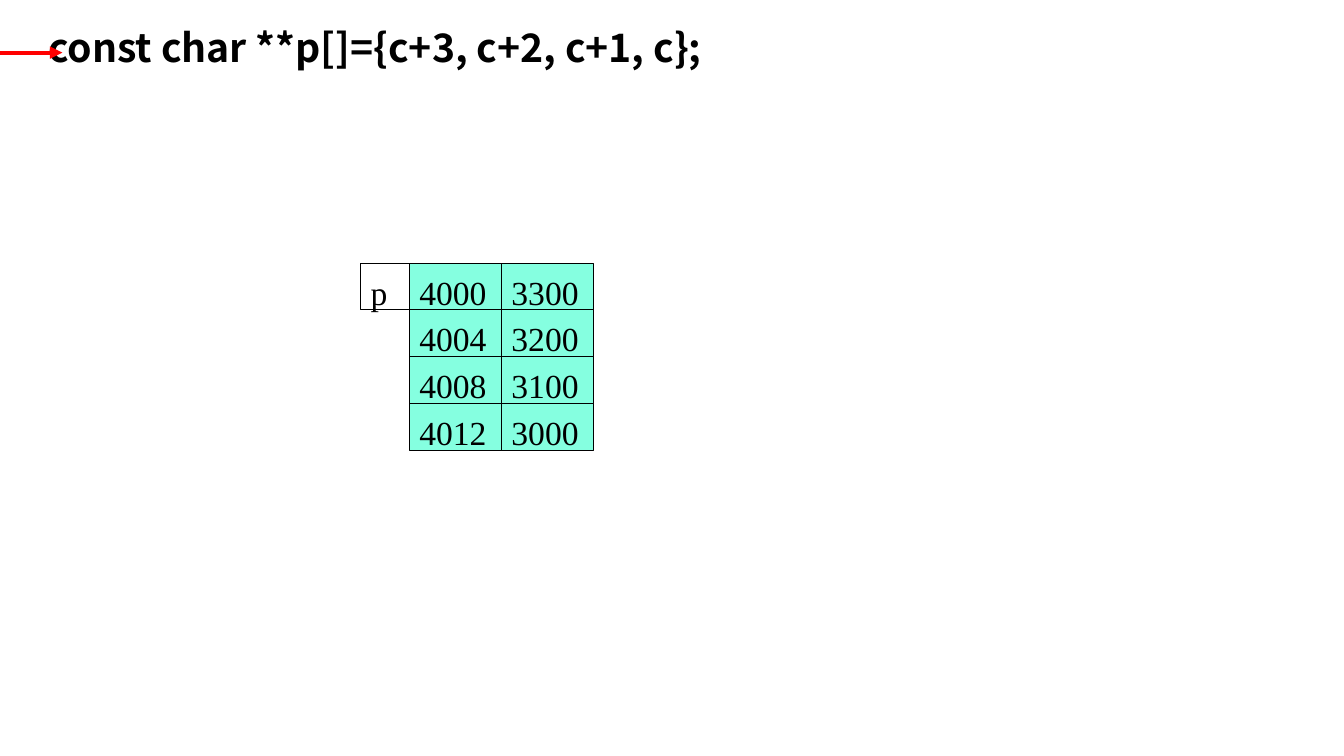
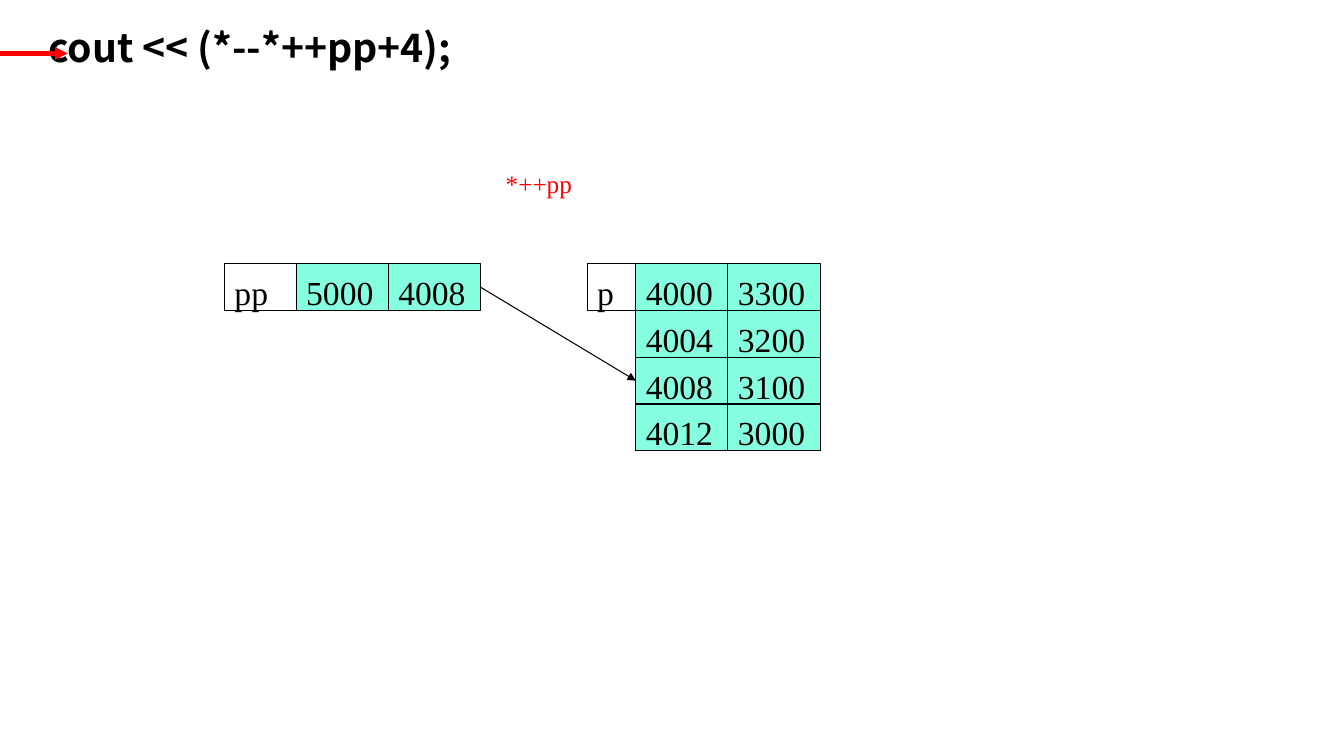
"""Build two slides that show how pointer arrays are laid out in memory."""
from dataclasses import dataclass

from pptx import Presentation
from pptx.dml.color import RGBColor
from pptx.enum import shapes, text
from pptx.oxml.ns import qn
from pptx.util import Pt
from lxml import etree

COLORS = {"ink": "000000", "paper": "FFFFFF", "memory": "85FFE0", "accent": "FF0000"}
SERIF = "Times New Roman"
SANS = "Noto Sans CJK SC"
CELL_W, CELL_H, ROW_PITCH = 65.8, 33.4, 33.4
TITLE_FRAME = {"word_wrap": True, "margin_left": Pt(20), "margin_top": Pt(3.6)}
NOTE_FRAME = {"word_wrap": True, "margin_top": Pt(5)}
CELL_FRAME = {
    "word_wrap": False,
    "margin_left": Pt(7.2),
    "margin_top": Pt(7.2),
    "margin_bottom": Pt(0),
    "vertical_anchor": text.MSO_ANCHOR.MIDDLE,
}
TITLE_FONT = {"name": SANS, "size": Pt(28), "bold": True}
CELL_FONT = {"name": SERIF, "size": Pt(24)}
NOTE_FONT = {"name": SERIF, "size": Pt(18)}


@dataclass(frozen=True)
class Variable:
    """A named block of memory: rows of address and value."""

    name: str
    x: float
    y: float
    name_w: float
    rows: tuple[tuple[str, str], ...]


@dataclass(frozen=True)
class Step:
    """One line of code with the memory it touches."""

    code: str
    marker_x: float
    marker_y: float
    variables: tuple[Variable, ...]
    note: str = ""
    link: tuple[str, str] | None = None


P_ROWS = (("4000", "3300"), ("4004", "3200"), ("4008", "3100"), ("4012", "3000"))
STEPS = (
    Step(
        "const char **p[]={c+3, c+2, c+1, c};", 44.6, 37.6,
        (Variable("p", 257.6, 188, 34.8, P_ROWS),),
    ),
    Step(
        "cout << (*--*++pp+4);", 48.4, 38.2,
        (
            Variable("pp", 160.4, 188.4, 51.2, (("5000", "4008"),)),
            Variable("p", 419.4, 188.4, 34.8, P_ROWS),
        ),
        note="*++pp",
        link=("pp", "4008"),
    ),
)


def rgb(name: str) -> RGBColor:
    """Return a palette colour."""
    return RGBColor.from_string(COLORS[name])


def set_all(obj, values: dict) -> None:
    """Set every attribute in values on obj."""
    for key, value in values.items():
        setattr(obj, key, value)


def write(sp, content: str, frame: dict, font: dict, color: str = "ink") -> None:
    """Put one left-aligned run of text into a shape."""
    tf = sp.text_frame
    set_all(tf, frame)
    p = tf.paragraphs[0]
    p.alignment = text.PP_ALIGN.LEFT
    r = p.add_run()
    r.text = content
    set_all(r.font, font)
    r.font.color.rgb = rgb(color)


def add_text(s, x: float, y: float, w: float, h: float, *style) -> None:
    """Add a text box."""
    write(s.shapes.add_textbox(Pt(x), Pt(y), Pt(w), Pt(h)), *style)


def add_cell(s, x: float, y: float, w: float, content: str, fill: str):
    """Add one outlined memory cell."""
    sp = s.shapes.add_shape(
        shapes.MSO_SHAPE.RECTANGLE, Pt(x), Pt(y), Pt(w), Pt(CELL_H))
    sp.shadow.inherit = False
    sp.fill.solid()
    sp.fill.fore_color.rgb = rgb(fill)
    sp.line.color.rgb = rgb("ink")
    sp.line.width = Pt(0.75)
    write(sp, content, CELL_FRAME, CELL_FONT)
    return sp


def add_variable(s, var: Variable) -> list[tuple]:
    """Draw a variable and return its address and value cells by row."""
    add_cell(s, var.x, var.y, var.name_w, var.name, "paper")
    left = var.x + var.name_w
    return [
        tuple(
            add_cell(s, left + col * CELL_W, var.y + row * ROW_PITCH, CELL_W,
                     content, "memory")
            for col, content in enumerate(pair)
        )
        for row, pair in enumerate(var.rows)
    ]


def add_arrow(s, start: tuple, end: tuple, color: str, width: float):
    """Add a straight arrow between two points."""
    cx = s.shapes.add_connector(
        shapes.MSO_CONNECTOR.STRAIGHT, *map(Pt, start + end))
    cx.line.color.rgb = rgb(color)
    cx.line.width = Pt(width)
    etree.SubElement(cx.line._get_or_add_ln(), qn("a:tailEnd"), type="triangle")
    etree.SubElement(cx._element.spPr, qn("a:effectLst"))
    return cx


def add_step(prs, step: Step) -> None:
    """Add the slide for one step."""
    s = prs.slides.add_slide(prs.slide_layouts[6])
    add_text(s, 14.4, 13, 935, 510, step.code, TITLE_FRAME, TITLE_FONT)
    add_arrow(s, (0, step.marker_y), (step.marker_x, step.marker_y), "accent", 3)
    cells = {var.name: add_variable(s, var) for var in step.variables}
    if step.note:
        add_text(s, 354.2, 115.2, 91.4, 28.8, step.note, NOTE_FRAME, NOTE_FONT, "accent")
    if step.link:
        pointer, address = step.link
        target = next(a for a, _ in cells["p"] if a.text_frame.text == address)
        cx = add_arrow(s, (0, 0), (0, 0), "ink", 0.75)
        cx.begin_connect(cells[pointer][0][1], 3)
        cx.end_connect(target, 1)


def main() -> None:
    """Build and save the presentation."""
    prs = Presentation()
    set_all(prs, {"slide_width": Pt(960), "slide_height": Pt(540)})
    for step in STEPS:
        add_step(prs, step)
    prs.save("out.pptx")


if __name__ == "__main__":
    main()
